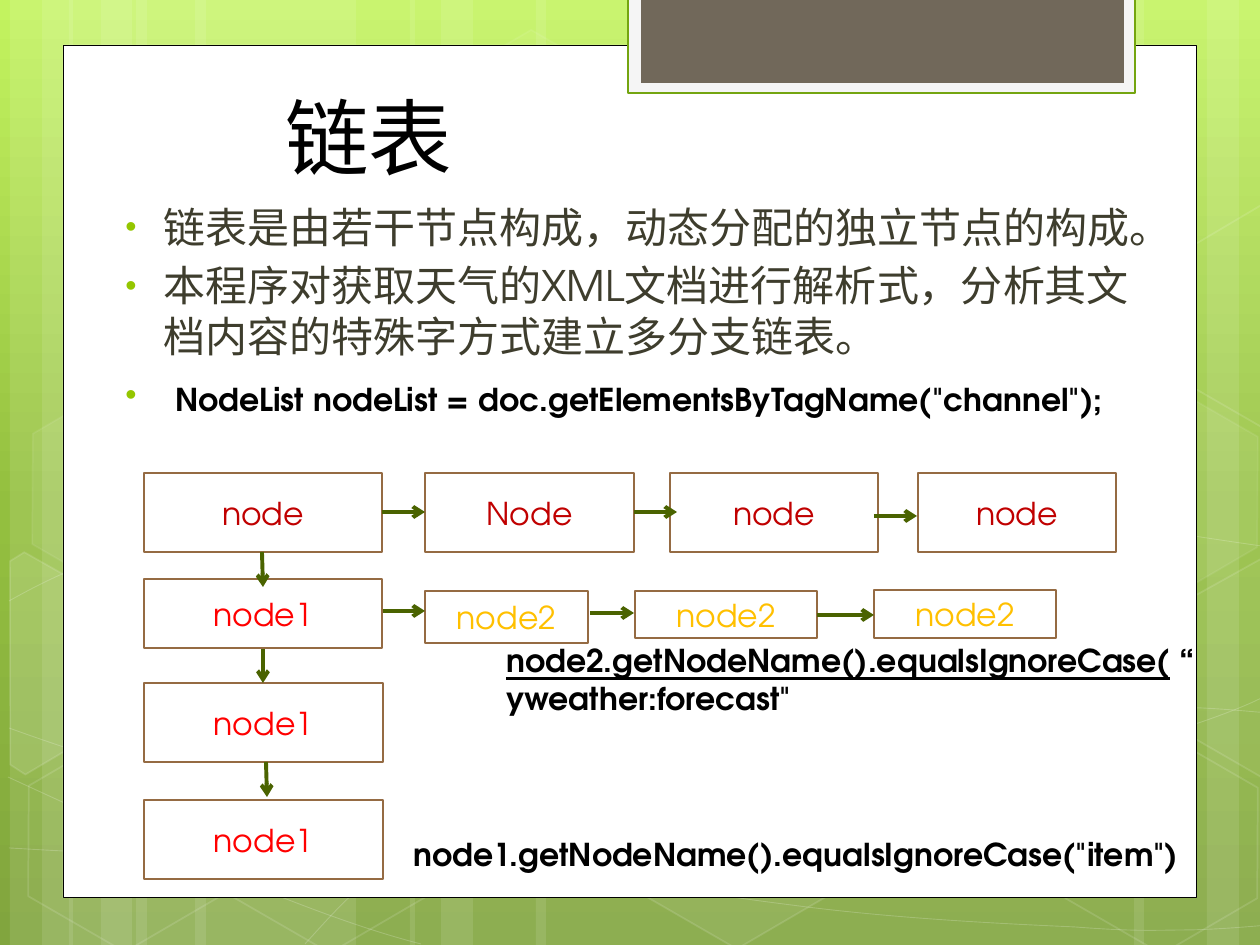
from dataclasses import dataclass
from math import cos, radians, sin

from lxml.etree import SubElement
from pptx import Presentation
from pptx.dml.color import RGBColor
from pptx.enum.shapes import MSO_CONNECTOR as Connector, MSO_SHAPE as Preset
from pptx.enum.text import MSO_ANCHOR as Anchor, PP_ALIGN as Align
from pptx.oxml.ns import qn
from pptx.util import Emu, Pt

EMU_PER_PX = 914400 / 126
SLIDE_W, SLIDE_H = 1260, 945
TILT = 30


@dataclass(frozen=True)
class Theme:
    sky: tuple = ((0, "C3F35F"), (54, "93BF3F"), (100, "81A53E"))
    white: str = "FFFFFF"
    black: str = "000000"
    tab_edge: str = "74A510"
    tab_rim: str = "F5F5F5"
    tab: str = "71685A"
    body: str = "3E3D2D"
    bullet: str = "94C600"
    box_edge: str = "956B43"
    arrow: str = "4A6300"
    head_node: str = "C00000"
    node1: str = "FF0000"
    node2: str = "FFC000"
    font: str = "TeX Gyre Adventor"
    title_font: str = "Noto Sans CJK SC"
    title_pt: float = 47.7
    body_pt: int = 24
    code_pt: int = 18


THEME = Theme()

# Content: each run is (text, size, colour, bold, underline)
TITLE = "链表"
BODY = (THEME.body_pt, THEME.body, False, False)
CODE = (THEME.code_pt, THEME.black, True, False)
CODE_UNDERLINED = (THEME.code_pt, THEME.black, True, True)
BULLETS = [
    [("链表是由若干节点构成，动态分配的独立节点的构成。", *BODY)],
    [("本程序对获取天气的XML文档进行解析式，分析其文档内容的特殊字方式建立多分支链表。", *BODY)],
    [(" ", *BODY), ('NodeList nodeList = doc.getElementsByTagName("channel");', *CODE)],
]
NODE1_CODE = [[('node1.getNodeName().equalsIgnoreCase("item")', *CODE)]]
NODE2_CODE = [
    [("node2.getNodeName().equalsIgnoreCase(", *CODE_UNDERLINED), (" “", *CODE)],
    [('yweather:forecast"', *CODE)],
]

# Linked list: (text, colour, left, top, width, height)
NODES = [
    ("node", THEME.head_node, 144, 473, 238, 79),
    ("Node", THEME.head_node, 425, 473, 209, 79),
    ("node", THEME.head_node, 670, 473, 208, 79),
    ("node", THEME.head_node, 918, 473, 198, 79),
    ("node1", THEME.node1, 144, 579, 238, 69),
    ("node1", THEME.node1, 144, 683, 239, 79),
    ("node1", THEME.node1, 144, 800, 239, 79),
    ("node2", THEME.node2, 425, 591, 163, 52),
    ("node2", THEME.node2, 635, 591, 182, 47),
    ("node2", THEME.node2, 874, 590, 182, 48),
]
ARROWS = [
    (382, 512, 425, 512), (634, 512, 677, 512), (874, 516, 917, 516),
    (383, 611, 425, 611), (590, 613, 634, 613), (817, 615, 874, 615),
    (263, 649, 263, 683), (262, 552, 263, 587), (266, 762, 267, 797),
]

# Backdrop
BANDS = [(136, 220), (10, 63), (42, 105), (195, 220), (69, 63), (101, 105),
         (924, 220), (1207, 63), (1134, 105), (536, 388), (410, 63), (441, 105)]
# Bezier chains: a start point, then two handles and an end point per segment
CURVES = [
    [(9, 848), (77, 852), (145, 856), (239, 854), (334, 853), (451, 851), (577, 838),
     (703, 825), (882, 801), (998, 777), (1113, 753), (1231, 716), (1269, 694)],
    [(9, 601), (45, 581), (82, 562), (152, 543), (224, 524), (326, 499), (437, 488),
     (549, 479), (685, 478), (824, 488), (963, 498), (1193, 537), (1269, 547)],
    [(8, 777), (160, 847), (311, 916), (421, 944)],
    [(9, 728), (48, 742), (88, 756), (161, 776), (234, 795), (344, 827), (450, 848),
     (554, 869), (687, 892), (791, 905), (896, 919), (1008, 924), (1075, 927),
     (1140, 932), (1158, 930), (1191, 930), (1223, 929), (1246, 927), (1269, 925)],
    [(305, 944), (328, 919), (350, 893), (381, 871), (411, 848), (454, 823), (489, 805),
     (524, 789), (546, 780), (592, 767), (638, 755), (722, 737), (766, 728),
     (811, 719), (818, 719), (857, 717), (896, 713), (958, 709), (1000, 708),
     (1045, 707), (1116, 708), (1116, 708), (1144, 708), (1173, 708), (1201, 708),
     (1223, 709), (1244, 711), (1256, 712), (1268, 713), (1264, 712), (1268, 713)],
]
# (left, top, fill opacity, line opacity)
HEXAGONS = [(421, 45, 4, 8), (626, 742, 6, 12), (14, 745, 0, 12), (18, 393, 7, 8),
            (219, 746, 0, 12), (949, 571, 10, 12), (1051, 747, 0, 12), (1051, 396, 7, 8)]
# (centre, corners as they appear after the tilt, fill opacity)
CUT_HEXAGONS = [
    ((45, 674), [(10, 561), (24, 552), (121, 607), (120, 718), (25, 774), (10, 765)], 10),
    ((1241, 655), [(1167, 611), (1261, 559), (1271, 562), (1271, 772), (1263, 777), (1167, 722)], 4),
    ((1241, 304), [(1167, 261), (1261, 205), (1273, 212), (1271, 422), (1263, 427), (1167, 372)], 0),
]


def px(*lengths):
    return [Emu(round(length * EMU_PER_PX)) for length in lengths]


def rgb(code):
    return RGBColor.from_string(code)


def set_alpha(parent, percent):
    color = parent.find(qn("a:solidFill")).find(qn("a:srgbClr"))
    SubElement(color, qn("a:alpha"), val=str(percent * 1000))


def paint(shape, fill=None, line=None, width=1.0, fill_alpha=100, line_alpha=100):
    shape.shadow.inherit = False
    properties = shape.element.spPr
    if fill and fill_alpha:
        shape.fill.solid()
        shape.fill.fore_color.rgb = rgb(fill)
        if fill_alpha < 100:
            set_alpha(properties, fill_alpha)
    else:
        shape.fill.background()
    if line:
        shape.line.color.rgb = rgb(line)
        shape.line.width = Pt(width)
        if line_alpha < 100:
            set_alpha(properties.find(qn("a:ln")), line_alpha)
    else:
        shape.line.fill.background()


def add_preset(preset, box, **style):
    shape = shapes.add_shape(preset, *px(*box))
    paint(shape, **style)
    return shape


def add_outline(points, close, **style):
    builder = shapes.build_freeform(*points[0], scale=EMU_PER_PX)
    builder.add_line_segments(points[1:], close=close)
    shape = builder.convert_to_shape()
    paint(shape, **style)
    return shape


def bend(shape):
    """Turn each three line steps into one cubic segment."""
    outline = next(shape.element.iter(qn("a:path")))
    steps = outline.findall(qn("a:lnTo"))
    for i in range(0, len(steps), 3):
        cubic = SubElement(outline, qn("a:cubicBezTo"))
        for step in steps[i:i + 3]:
            cubic.append(step[0])
            outline.remove(step)


def untilt(point, center):
    dx, dy = point[0] - center[0], point[1] - center[1]
    c, s = cos(radians(TILT)), sin(radians(TILT))
    return center[0] + dx * c + dy * s, center[1] - dx * s + dy * c


def add_run(paragraph, text, size, color, bold=False, underline=False, font=THEME.font):
    run = paragraph.add_run()
    run.text = text
    run.font.size, run.font.name = Pt(size), font
    run.font.bold, run.font.underline = bold, underline
    run.font.color.rgb = rgb(color)
    SubElement(run.font._element, qn("a:ea"), typeface=font)


def add_text(box, paragraphs, wrap=True):
    frame = shapes.add_textbox(*px(*box)).text_frame
    frame.word_wrap = wrap
    for i, runs in enumerate(paragraphs):
        paragraph = frame.add_paragraph() if i else frame.paragraphs[0]
        for run in runs:
            add_run(paragraph, *run)
    return frame


def add_bullet(paragraph):
    paragraph.space_before = Pt(THEME.body_pt * 0.2)
    properties = paragraph._p.get_or_add_pPr()
    indent, hanging = px(47, -38)
    properties.set("marL", str(indent))
    properties.set("indent", str(hanging))
    SubElement(SubElement(properties, qn("a:buClr")), qn("a:srgbClr"), val=THEME.bullet)
    SubElement(properties, qn("a:buSzPct"), val="76000")
    SubElement(properties, qn("a:buFont"), typeface="Arial")
    SubElement(properties, qn("a:buChar"), char="•")


deck = Presentation()
deck.slide_width, deck.slide_height = px(SLIDE_W, SLIDE_H)
slide = deck.slides.add_slide(deck.slide_layouts[6])
shapes = slide.shapes

# Backdrop: gradient, light bands, curves and hexagons
backdrop = slide.background.fill
backdrop.gradient()
backdrop.gradient_angle = 270
stops = next(slide.element.iter(qn("a:gsLst")))
stops[:] = []
for position, color in THEME.sky:
    stop = SubElement(stops, qn("a:gs"), pos=str(position * 1000))
    SubElement(stop, qn("a:srgbClr"), val=color)
for left, width in BANDS:
    add_preset(Preset.RECTANGLE, (left, 0, width, SLIDE_H), fill=THEME.white, fill_alpha=10)
for chain in CURVES:
    bend(add_outline(chain, False, line=THEME.white, width=0.5, line_alpha=20))
for left, top, fill_alpha, line_alpha in HEXAGONS:
    hexagon = add_preset(Preset.HEXAGON, (left, top, 221, 192), fill=THEME.white,
                         line=THEME.white, fill_alpha=fill_alpha, line_alpha=line_alpha)
    hexagon.adjustments[0] = 0.285
    hexagon.rotation = TILT
for center, corners, fill_alpha in CUT_HEXAGONS:
    add_outline([untilt(corner, center) for corner in corners], True, fill=THEME.white,
                line=THEME.white, fill_alpha=fill_alpha, line_alpha=12).rotation = TILT

# Card and tab
add_preset(Preset.RECTANGLE, (63, 45, 1134, 853), fill=THEME.white, line=THEME.black, width=0.5)
add_preset(Preset.RECTANGLE, (628, -2, 507, 95), fill=THEME.tab_rim, line=THEME.tab_edge, width=1.25)
add_preset(Preset.RECTANGLE, (641, -2, 483, 85), fill=THEME.tab)

# Title and bullets
title = add_text((105, 106, 1004, 125),
                 [[(TITLE, THEME.title_pt, THEME.black, False, False, THEME.title_font)]])
title.vertical_anchor = Anchor.BOTTOM
title.margin_left, title.margin_bottom = px(180, 45)
for paragraph in add_text((104, 195, 1062, 704), BULLETS).paragraphs:
    add_bullet(paragraph)

# Linked list
for text, color, *box in NODES:
    node = add_preset(Preset.RECTANGLE, box, fill=THEME.white, line=THEME.box_edge, width=1.25)
    node.text_frame.vertical_anchor = Anchor.MIDDLE
    label = node.text_frame.paragraphs[0]
    label.alignment = Align.CENTER
    add_run(label, text, THEME.code_pt, color)
for ends in ARROWS:
    arrow = shapes.add_connector(Connector.STRAIGHT, *px(*ends))
    arrow.line.color.rgb = rgb(THEME.arrow)
    arrow.line.width = Pt(2.25)
    SubElement(arrow.line._get_or_add_ln(), qn("a:tailEnd"), type="arrow")
    SubElement(arrow.element.spPr, qn("a:effectLst"))

# Code notes
add_text((401, 829, 796, 50), NODE1_CODE, wrap=False)
add_text((494, 635, 766, 102), NODE2_CODE)

deck.save("out.pptx")
